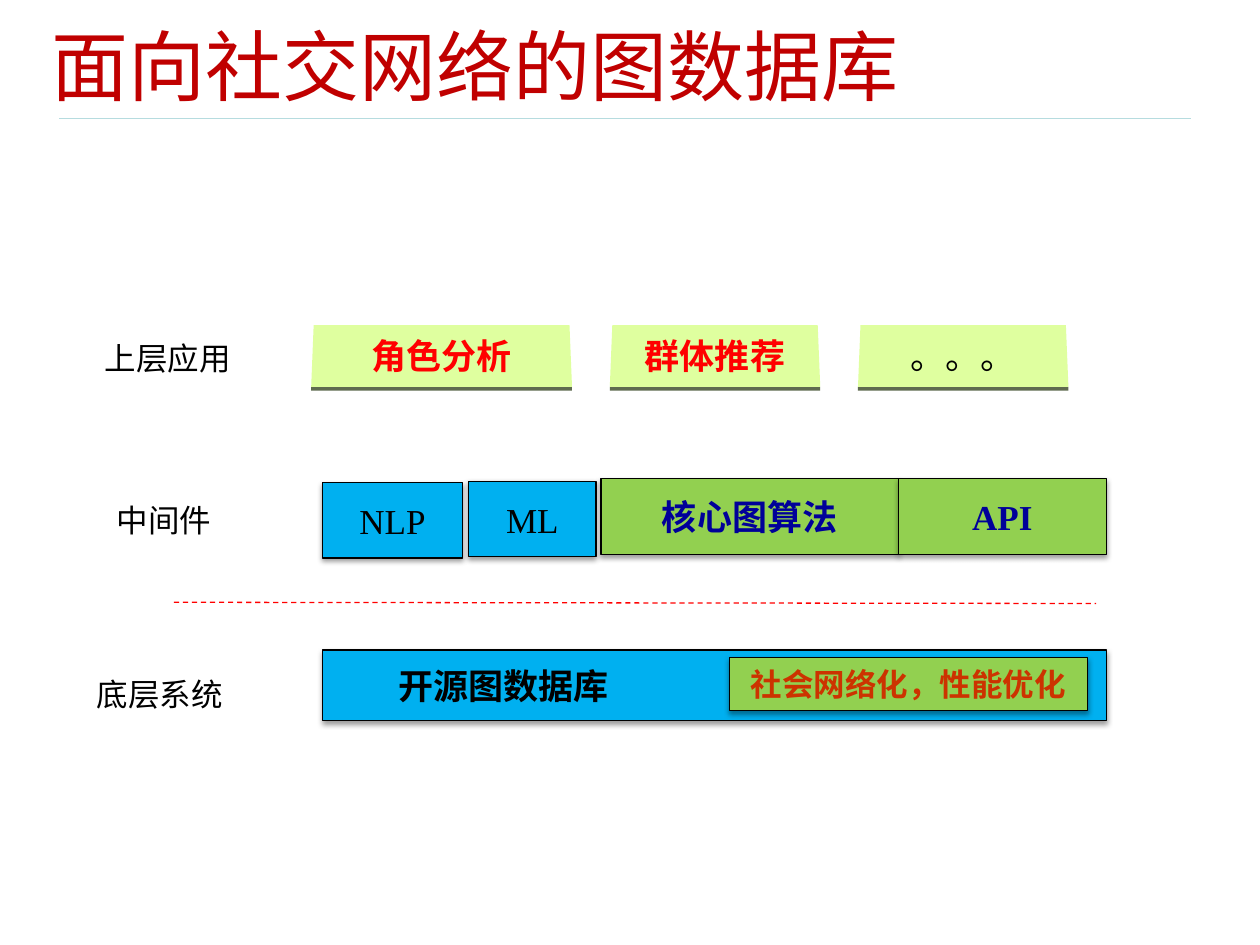
"""Build the slide on a layered graph database for social networks."""
from lxml import etree
from pptx import Presentation
from pptx import util as u
from pptx.dml.color import RGBColor
from pptx.enum import dml, shapes, text
from pptx.oxml.ns import qn

THEME = {
    "blue": "00B0F0", "green": "92D050", "lime": "DFFF9F", "edge": "5F6B4F",
    "black": "000000", "red": "FF0000", "navy": "000099", "rust": "CC3300",
    "title": "C00000", "rule": "B6DCDF",
    "title_size": 44, "block_size": 20, "label_size": 18,
    "serif": "Times New Roman", "sans": "Arial", "cjk": "Noto Sans CJK SC",
}


def write(holder, words, color, size, font, bold=False, align="CENTER", inset=0.1):
    frame = holder.text_frame
    layout = {"word_wrap": True, "vertical_anchor": text.MSO_ANCHOR.MIDDLE,
              "margin_left": u.Inches(inset), "margin_right": u.Inches(0.05)
              if align == "LEFT" else u.Inches(inset)}
    for name, value in layout.items():
        setattr(frame, name, value)
    paragraph = frame.paragraphs[0]
    paragraph.alignment = text.PP_ALIGN[align]
    run = paragraph.add_run()
    run.text = words
    style = {"name": THEME[font], "size": u.Pt(THEME[size]), "bold": bold}
    for name, value in style.items():
        setattr(run.font, name, value)
    run.font.color.rgb = RGBColor.from_string(THEME[color])


def paint(shape, fill, outline=None):
    shape.shadow.inherit = False
    shape.fill.solid()
    shape.fill.fore_color.rgb = RGBColor.from_string(THEME[fill])
    if outline:
        shape.line.color.rgb = RGBColor.from_string(THEME[outline])
        shape.line.width = u.Pt(0.75)
    else:
        shape.line.fill.background()


deck = Presentation()
deck.slide_width, deck.slide_height = u.Inches(10), u.Inches(7.5)
slide = deck.slides.add_slide(deck.slide_layouts[6])
parts = slide.shapes

for start, end, color, dash in [
    ((0.47, 0.94), (9.45, 0.94), "rule", None),
    ((1.38, 4.78), (8.7, 4.79), "red", dml.MSO_LINE.DASH),
]:
    divider = parts.add_connector(
        shapes.MSO_CONNECTOR.STRAIGHT, *map(u.Inches, start + end))
    divider.line.color.rgb = RGBColor.from_string(THEME[color])
    divider.line.width = u.Pt(0.75)
    divider.line.dash_style = dash
    etree.SubElement(divider._element.spPr, qn("a:effectLst"))

for words, box, color, size, font, inset in [
    ("面向社交网络的图数据库", (0.31, 0.08, 9.14, 0.87), "title", "title_size", "sans", 0.1),
    ("上层应用", (0.67, 2.64, 1.42, 0.4), "black", "label_size", "sans", 0.16),
    ("中间件", (0.83, 3.93, 1.14, 0.4), "black", "label_size", "sans", 0.1),
    ("底层系统", (0.67, 5.31, 1.26, 0.4), "black", "label_size", "sans", 0.1),
]:
    label = parts.add_textbox(*map(u.Inches, box))
    write(label, words, color, size, font, align="LEFT", inset=inset)

app_top, app_height, taper, edge_height = 2.58, 0.49, 0.02, 0.03
for words, left, width, color, bold in [
    ("角色分析", 2.47, 2.07, "red", True),
    ("群体推荐", 4.84, 1.67, "red", True),
    ("。。。", 6.81, 1.67, "black", False),
]:
    right, bottom = left + width, app_top + app_height
    edge = parts.add_shape(shapes.MSO_SHAPE.RECTANGLE, *map(
        u.Inches, (left, bottom, width, edge_height)))
    paint(edge, "edge")
    outline = parts.build_freeform(u.Inches(left + taper), u.Inches(app_top))
    outline.add_line_segments([
        (u.Inches(x), u.Inches(y)) for x, y in
        [(right - taper, app_top), (right, bottom), (left, bottom)]])
    application = outline.convert_to_shape()
    paint(application, "lime")
    write(application, words, color, "block_size", "serif", bold)

for words, box, fill, color, size, font, bold, align, inset in [
    ("NLP", (2.56, 3.83, 1.11, 0.6), "blue", "black", "block_size", "serif", False, "CENTER", 0.1),
    ("ML", (3.72, 3.82, 1.01, 0.6), "blue", "black", "block_size", "serif", False, "CENTER", 0.1),
    ("核心图算法", (4.77, 3.8, 2.36, 0.6), "green", "navy", "block_size", "serif", True, "CENTER", 0.1),
    ("API", (7.13, 3.8, 1.65, 0.6), "green", "navy", "block_size", "serif", True, "CENTER", 0.1),
    ("开源图数据库", (2.56, 5.16, 6.22, 0.56), "blue", "black", "block_size", "cjk", True, "LEFT", 0.6),
    ("社会网络化，性能优化", (5.79, 5.22, 2.84, 0.42), "green", "rust", "label_size", "serif", True, "CENTER", 0.1),
]:
    block = parts.add_shape(shapes.MSO_SHAPE.RECTANGLE, *map(u.Inches, box))
    paint(block, fill, "black")
    effects = block._element.spPr.find(qn("a:effectLst"))
    shadow = etree.SubElement(
        effects, qn("a:outerShdw"), blurRad=str(u.Pt(3.1)), dist=str(u.Pt(1.6)),
        dir="5400000", rotWithShape="0")
    tint = etree.SubElement(shadow, qn("a:srgbClr"), val=THEME["black"])
    etree.SubElement(tint, qn("a:alpha"), val="38000")
    write(block, words, color, size, font, bold, align, inset)

deck.save("out.pptx")
